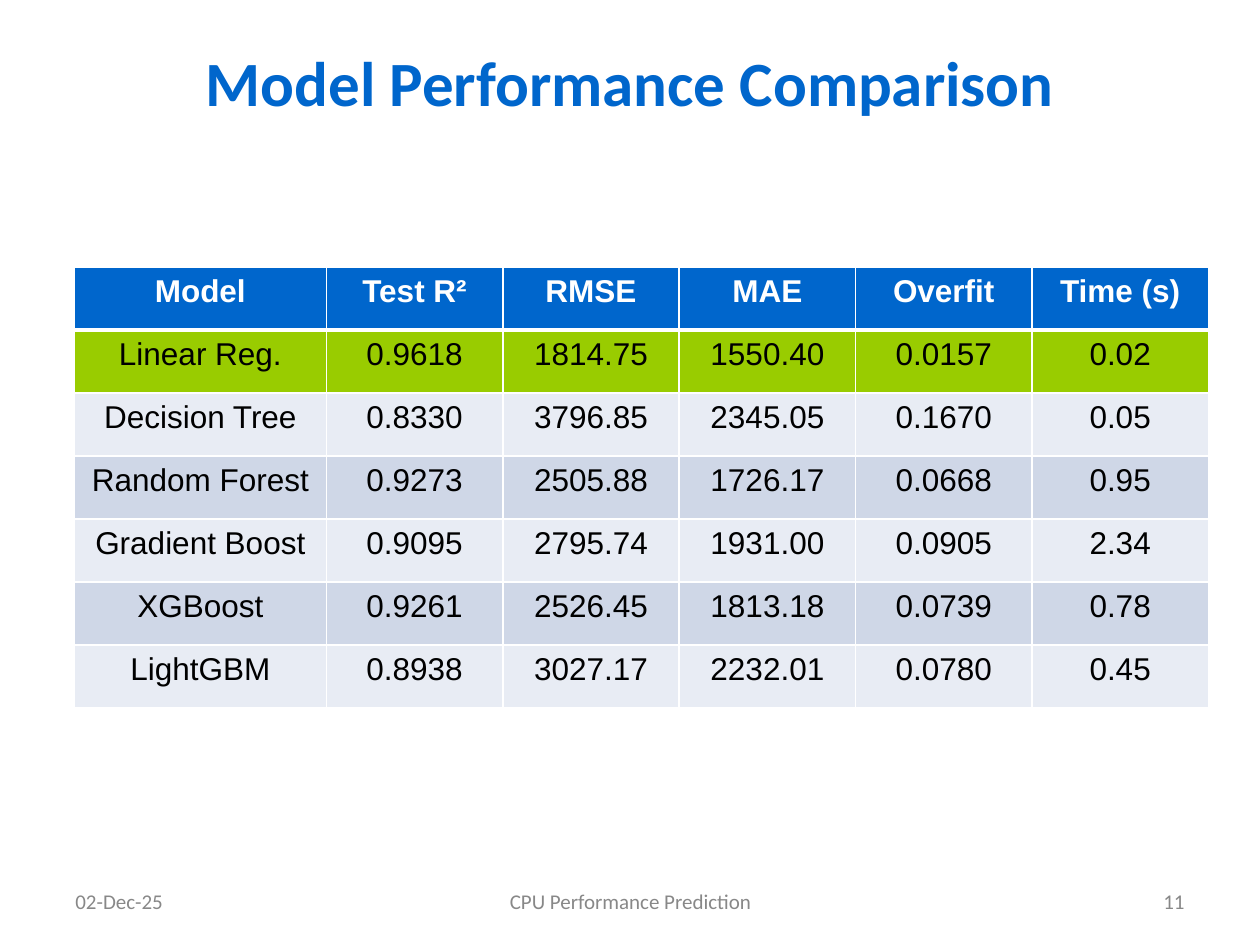
from dataclasses import dataclass

from lxml import etree
from pptx import Presentation
from pptx.dml.color import RGBColor
from pptx.enum.text import MSO_ANCHOR as Anchor, PP_ALIGN as Align
from pptx.oxml.ns import qn
from pptx.util import Inches, Pt


@dataclass(frozen=True)
class Theme:
    heading_font: str = "Calibri"
    table_font: str = "Arial"
    title_size: int = 36
    table_size: int = 18
    footer_size: int = 12
    blue: str = "0066CC"
    highlight: str = "99CC00"
    light_band: str = "E8ECF4"
    dark_band: str = "CFD7E7"
    white: str = "FFFFFF"
    black: str = "000000"
    grey: str = "888888"
    grid_width: int = 1
    header_rule_width: int = 3


HEADER = ["Model", "Test R²", "RMSE", "MAE", "Overfit", "Time (s)"]
RESULTS = [
    ["Linear Reg.", "0.9618", "1814.75", "1550.40", "0.0157", "0.02"],
    ["Decision Tree", "0.8330", "3796.85", "2345.05", "0.1670", "0.05"],
    ["Random Forest", "0.9273", "2505.88", "1726.17", "0.0668", "0.95"],
    ["Gradient Boost", "0.9095", "2795.74", "1931.00", "0.0905", "2.34"],
    ["XGBoost", "0.9261", "2526.45", "1813.18", "0.0739", "0.78"],
    ["LightGBM", "0.8938", "3027.17", "2232.01", "0.0780", "0.45"],
]
COLUMN_WIDTHS = [2] + [1.4] * 5
ROW_HEIGHT = 0.5
BEST_ROW = 1


class SlideBuilder:
    def __init__(self, slide, theme):
        self.slide = slide
        self.theme = theme

    def set_text(self, text_frame, text, font, size, color, align, bold=False):
        text_frame.text = text
        paragraph = text_frame.paragraphs[0]
        paragraph.alignment = align
        run_font = paragraph.runs[0].font
        run_font.name = font
        run_font.size = Pt(size)
        run_font.bold = bold
        run_font.color.rgb = RGBColor.from_string(color)

    def text_box(self, text, left, top, width, height, size, color,
                 align=Align.CENTER, anchor=Anchor.MIDDLE, bold=False):
        shape = self.slide.shapes.add_textbox(
            Inches(left), Inches(top), Inches(width), Inches(height))
        text_frame = shape.text_frame
        text_frame.word_wrap = True
        text_frame.vertical_anchor = anchor
        self.set_text(text_frame, text, self.theme.heading_font, size, color, align, bold)

    def footer(self, text, left, width, align):
        self.text_box(text, left, 6.95, width, 0.4,
                      self.theme.footer_size, self.theme.grey, align)

    def cell_borders(self, cell, row):
        """Draw the white grid; the rule under the header row is thicker."""
        theme = self.theme
        widths = dict.fromkeys(("lnL", "lnR", "lnT", "lnB"), theme.grid_width)
        if row == 0:
            widths["lnB"] = theme.header_rule_width
        elif row == 1:
            widths["lnT"] = theme.header_rule_width
        properties = cell._tc.get_or_add_tcPr()
        for side, width in widths.items():
            line = etree.SubElement(properties, qn(f"a:{side}"), w=str(Pt(width)))
            fill = etree.SubElement(line, qn("a:solidFill"))
            etree.SubElement(fill, qn("a:srgbClr"), val=theme.white)

    def row_fill(self, row):
        theme = self.theme
        if row == 0:
            return theme.blue
        if row == BEST_ROW:
            return theme.highlight
        return theme.dark_band if row % 2 else theme.light_band

    def table(self, rows, left, top):
        theme = self.theme
        table = self.slide.shapes.add_table(
            len(rows), len(COLUMN_WIDTHS), Inches(left), Inches(top),
            Inches(sum(COLUMN_WIDTHS)), Inches(ROW_HEIGHT * len(rows))).table
        for column, width in zip(table.columns, COLUMN_WIDTHS):
            column.width = Inches(width)
        for row, values in enumerate(rows):
            is_header = row == 0
            for column, value in enumerate(values):
                cell = table.cell(row, column)
                self.cell_borders(cell, row)
                cell.fill.solid()
                cell.fill.fore_color.rgb = RGBColor.from_string(self.row_fill(row))
                self.set_text(cell.text_frame, value, theme.table_font, theme.table_size,
                              theme.white if is_header else theme.black,
                              Align.CENTER, bold=is_header)


def main():
    presentation = Presentation()
    presentation.slide_width = Inches(10)
    presentation.slide_height = Inches(7.5)
    slide = presentation.slides.add_slide(presentation.slide_layouts[6])
    theme = Theme()
    builder = SlideBuilder(slide, theme)

    builder.text_box("Model Performance Comparison", 0.5, 0.3, 9, 0.8,
                     theme.title_size, theme.blue, anchor=Anchor.TOP, bold=True)
    builder.table([HEADER] + RESULTS, 0.59, 2.12)
    builder.footer("02-Dec-25", 0.5, 2.33, Align.LEFT)
    builder.footer("CPU Performance Prediction", 3.42, 3.17, Align.CENTER)
    builder.footer("11", 7.17, 2.33, Align.RIGHT)

    presentation.save("out.pptx")


if __name__ == "__main__":
    main()
